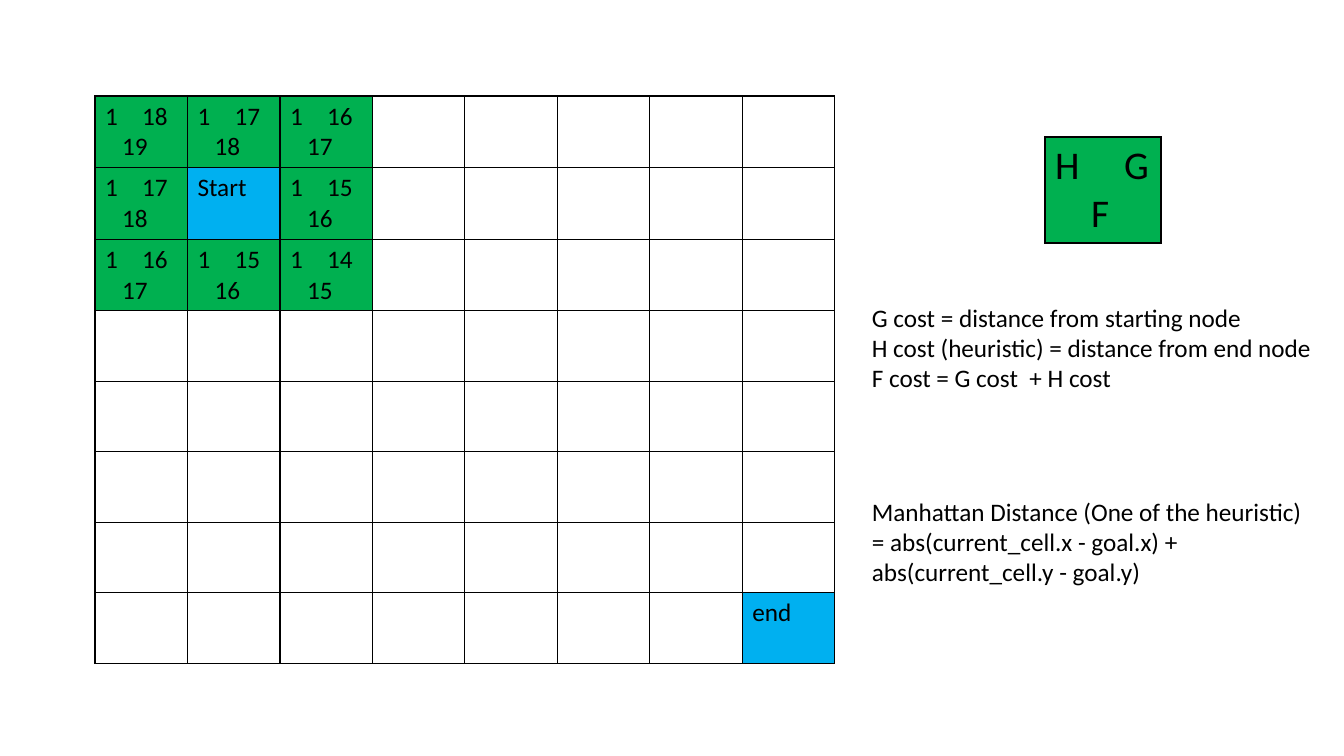
"""Build the A* search grid slide with its cost legend and formulas."""
from dataclasses import dataclass

from pptx import Presentation
from pptx.dml.color import RGBColor
from pptx.oxml.ns import qn
from pptx.util import Pt
from lxml.etree import SubElement, Element

GRID_SIZE = 8
START, END = (1, 1), (7, 7)
COSTS = {
    (0, 0): ("1", "18", "19"), (0, 1): ("1", "17", "18"), (0, 2): ("1", "16", "17"),
    (1, 0): ("1", "17", "18"), (1, 2): ("1", "15", "16"),
    (2, 0): ("1", "16", "17"), (2, 1): ("1", "15", "16"), (2, 2): ("1", "14", "15"),
}
ENDPOINTS = {START: "Start", END: "end"}
LEGEND = ("H", "G", "F")
NOTES = [
    (297, ["G cost = distance from starting node",
           "H cost (heuristic) = distance from end node",
           "F cost = G cost  + H cost"]),
    (491, ["Manhattan Distance (One of the heuristic)",
           "= abs(current_cell.x - goal.x) + abs(current_cell.y - goal.y)"]),
]
GRID_BOX = (95, 96, 740, 564)
LEGEND_BOX = (1045, 137, 116, 104)
NOTE_LEFT, NOTE_WIDTH, NOTE_HEIGHT = 862, 482, 102
GRID_GAPS = (37, 17)
LEGEND_GAPS = (69, 36)


@dataclass(frozen=True)
class Theme:
    font: str = "Calibri"
    ink: str = "000000"
    visited: str = "00B050"
    endpoint: str = "00B0F0"
    body: int = 18
    large: int = 28


THEME = Theme()


def px(length):
    return round(length * 914400 / 100.8)


def style(paragraph, size):
    paragraph.font.name = THEME.font
    paragraph.font.size = Pt(size)
    paragraph.font.color.rgb = RGBColor.from_string(THEME.ink)


def write_lines(frame, lines, size=THEME.body):
    frame.text = "\n".join(lines)
    for paragraph in frame.paragraphs:
        style(paragraph, size)


def write_costs(cell, costs, gaps, size=THEME.body):
    left, right, total = costs
    tab, indent = gaps
    write_lines(cell.text_frame, [f"{left}\t{right}", total], size)
    first, second = (p._p.get_or_add_pPr() for p in cell.text_frame.paragraphs)
    tabs = Element(qn("a:tabLst"))
    SubElement(tabs, qn("a:tab"), pos=str(px(tab)), algn="l")
    first.insert(0, tabs)
    second.set("marL", str(px(indent)))
    second.set("indent", "0")


def paint(cell, color=None):
    properties = cell._tc.get_or_add_tcPr()
    for side in ("lnL", "lnR", "lnT", "lnB"):
        line = SubElement(properties, qn(f"a:{side}"), w=str(Pt(1)))
        fill = SubElement(line, qn("a:solidFill"))
        SubElement(fill, qn("a:srgbClr"), val=THEME.ink)
    if color:
        cell.fill.solid()
        cell.fill.fore_color.rgb = RGBColor.from_string(color)
    else:
        cell.fill.background()


def add_plain_table(slide, size, box):
    table = slide.shapes.add_table(size, size, *map(px, box)).table
    table.first_row = False
    table.horz_banding = False
    return table


def add_grid(slide):
    table = add_plain_table(slide, GRID_SIZE, GRID_BOX)
    for row in range(GRID_SIZE):
        for column in range(GRID_SIZE):
            cell, place = table.cell(row, column), (row, column)
            if place in COSTS:
                write_costs(cell, COSTS[place], GRID_GAPS)
                paint(cell, THEME.visited)
            elif place in ENDPOINTS:
                write_lines(cell.text_frame, [ENDPOINTS[place]])
                paint(cell, THEME.endpoint)
            else:
                paint(cell)


def add_legend(slide):
    cell = add_plain_table(slide, 1, LEGEND_BOX).cell(0, 0)
    write_costs(cell, LEGEND, LEGEND_GAPS, THEME.large)
    paint(cell, THEME.visited)


def add_notes(slide):
    for top, lines in NOTES:
        box = slide.shapes.add_textbox(*map(px, (NOTE_LEFT, top, NOTE_WIDTH, NOTE_HEIGHT)))
        box.text_frame.word_wrap = True
        write_lines(box.text_frame, lines)


def main():
    presentation = Presentation()
    presentation.slide_width, presentation.slide_height = px(1344), px(756)
    slide = presentation.slides.add_slide(presentation.slide_layouts[6])
    add_grid(slide)
    add_legend(slide)
    add_notes(slide)
    presentation.save("out.pptx")


if __name__ == "__main__":
    main()
